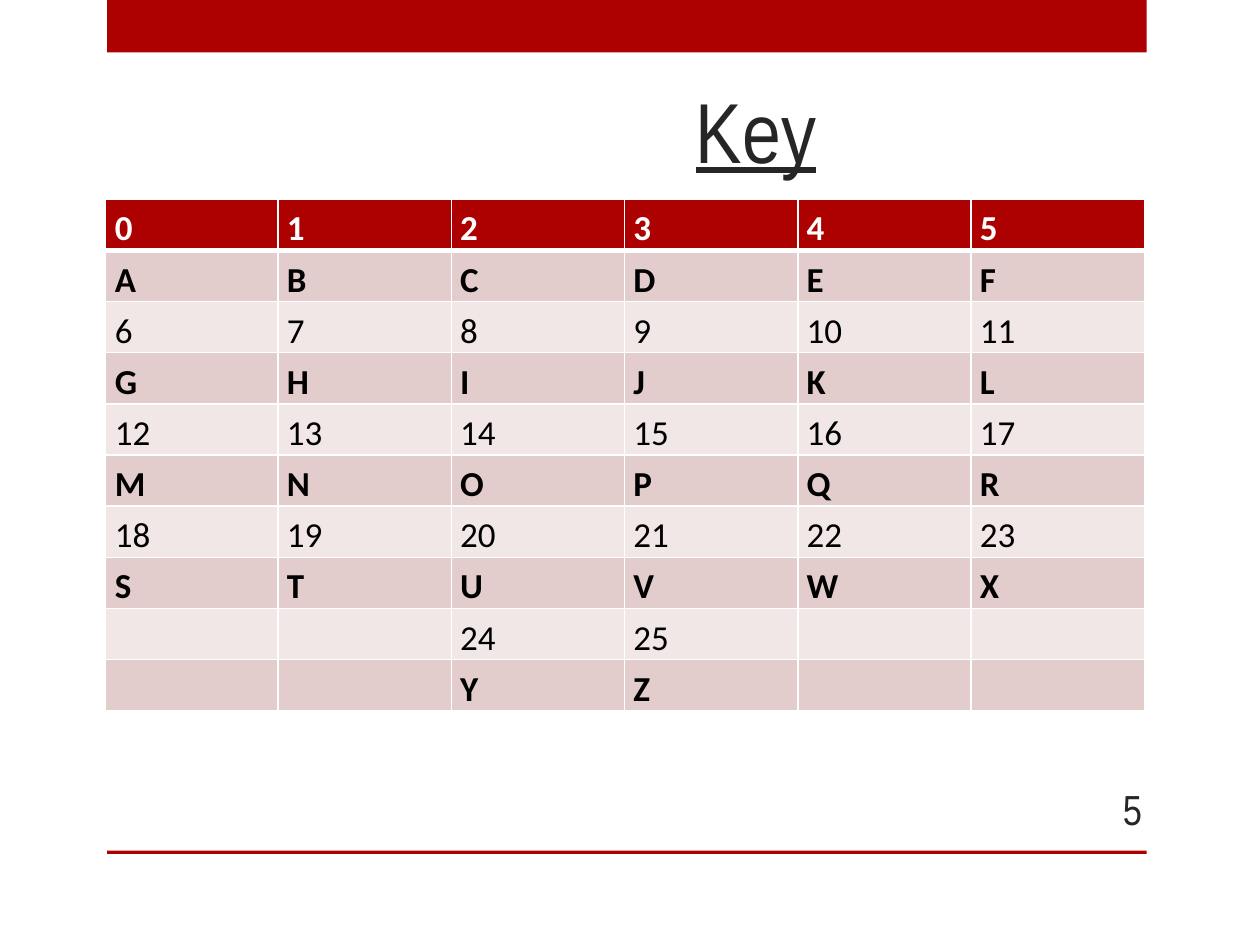
from lxml import etree
from pptx import Presentation
from pptx.dml.color import RGBColor
from pptx.enum import shapes, text
from pptx.oxml import ns
from pptx.util import Pt

RED, DARK, WHITE = "AD0101", "262626", "FFFFFF"


def paint(fill, color):
    fill.solid()
    fill.fore_color.rgb = RGBColor.from_string(color)


def edge(cell, side, width):
    """Draw a white border on one side (L, R, T or B) of a cell."""
    line = etree.SubElement(cell._tc.get_or_add_tcPr(), ns.qn(f"a:ln{side}"),
                            w=str(Pt(width)))
    solid = etree.SubElement(line, ns.qn("a:solidFill"))
    etree.SubElement(solid, ns.qn("a:srgbClr"), val=WHITE)


deck = Presentation()
deck.slide_width, deck.slide_height = Pt(720), Pt(540)
slide = deck.slides.add_slide(deck.slide_layouts[6])

# Bands at the top and bottom
for top, height in ((0, 30), (486, 2)):
    band = slide.shapes.add_shape(shapes.MSO_SHAPE.RECTANGLE,
                                  Pt(61.2), Pt(top), Pt(594), Pt(height))
    band.shadow.inherit = False
    paint(band.fill, RED)
    band.line.fill.background()

# Title
title = slide.shapes.add_textbox(Pt(36), Pt(36), Pt(648), Pt(126))
frame = title.text_frame
frame.word_wrap = True
frame.margin_left, frame.margin_top = Pt(361.7), Pt(9)
para = frame.paragraphs[0]
para.text = "Key"
para.font.size, para.font.name = Pt(48.6), "Arial Narrow"
para.font.underline = True
paint(para.font.fill, DARK)

# Key table: rows of numbers alternate with rows of letters
rows, cols = 10, 6
grid = slide.shapes.add_table(rows, cols, Pt(60), Pt(113.9),
                              Pt(594), Pt(292.3)).table
texts = {}
for n in range(26):
    block, col = divmod(n, cols)
    if block == 4:
        col += 2  # the last two pairs stand in the middle
    texts[2 * block, col] = str(n)
    texts[2 * block + 1, col] = chr(ord("A") + n)

for row in range(rows):
    grid.rows[row].height = Pt(29.23)
    head, letter = row == 0, row % 2 == 1
    for col in range(cols):
        cell = grid.cell(row, col)
        cell.margin_top = cell.margin_bottom = cell.margin_right = 0
        cell.margin_left = Pt(5.6 if col == 0 else 5)
        cell.vertical_anchor = text.MSO_ANCHOR.BOTTOM
        for side in "LRTB":
            thick = (row, side) in ((0, "B"), (1, "T"))
            edge(cell, side, 3 if thick else 1)
        paint(cell.fill, RED if head else "E3CCCC" if letter else "F1E7E7")
        para = cell.text_frame.paragraphs[0]
        para.text = texts.get((row, col), "")
        para.line_spacing = 1.15 if head else Pt(12.7 if letter else 10.4)
        para.font.size, para.font.name = Pt(20), "Calibri"
        para.font.bold = head or letter
        paint(para.font.fill, WHITE if head else "000000")

# Page number
page = slide.shapes.add_textbox(Pt(599.8), Pt(447.8), Pt(59.8), Pt(28.8))
frame = page.text_frame
frame.word_wrap = True
frame.vertical_anchor = text.MSO_ANCHOR.MIDDLE
para = frame.paragraphs[0]
para.text = "5"
para.alignment = text.PP_ALIGN.RIGHT
para.font.size, para.font.name = Pt(24), "Arial Narrow"
paint(para.font.fill, DARK)

deck.save("out.pptx")
